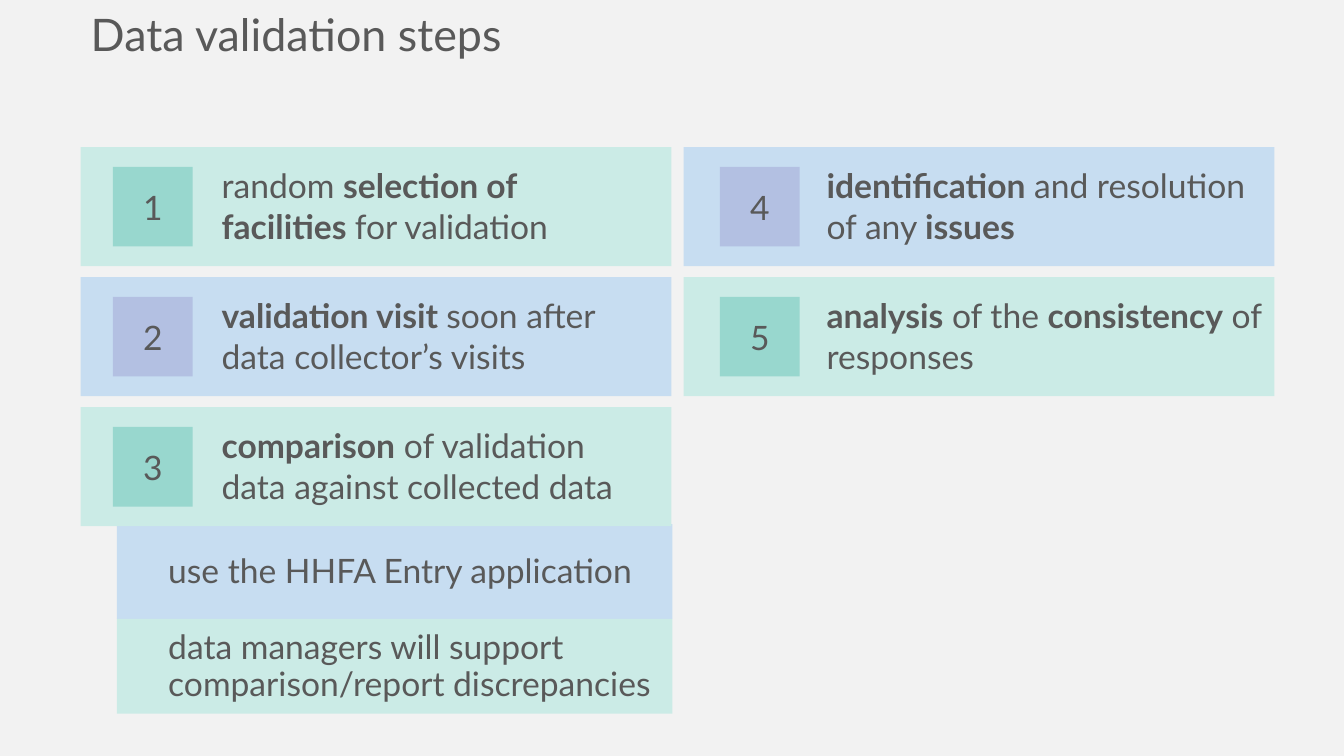
from dataclasses import dataclass

import pptx
import pptx.dml.color
import pptx.enum.shapes
import pptx.enum.text
import pptx.util
from pptx.dml.color import RGBColor
from pptx.util import Inches

BACKGROUND = RGBColor(0xF2, 0xF2, 0xF2)
TEXT = RGBColor(0x59, 0x59, 0x59)
PALE_GREEN = RGBColor(0xCB, 0xEB, 0xE6)
PALE_BLUE = RGBColor(0xC7, 0xDD, 0xF1)
GREEN = RGBColor(0x98, 0xD7, 0xCE)
LILAC = RGBColor(0xB3, 0xC0, 0xE2)
FONT = "Lato"

BAR_WIDTH, BAR_HEIGHT = 5.86, 1.18
BADGE_SIZE = 0.79
FIRST_ROW_TOP, ROW_PITCH = 1.46, 1.29
ROWS_PER_COLUMN = 3
DETAIL_LEFT, DETAIL_TOP, DETAIL_WIDTH, DETAIL_HEIGHT = 1.16, 5.2, 5.51, 0.94


@dataclass(frozen=True)
class Column:
    bar_left: float
    badge_left: float
    text_left: float


@dataclass(frozen=True)
class Step:
    runs: list[tuple[str, bool]]  # wording and whether it is bold
    text_width: float


@dataclass(frozen=True)
class Detail:
    wording: str
    fill: RGBColor
    text_top: float
    text_width: float
    text_height: float


COLUMNS = [Column(0.8, 1.12, 2.1), Column(6.78, 7.14, 8.1)]
STEPS = [
    Step([("random ", False), ("selection of facilities ", True),
          ("for validation", False)], 3.98),
    Step([("validation visit ", True),
          ("soon after data collector’s visits", False)], 4.39),
    Step([("comparison", True),
          (" of validation data against collected data", False)], 4.39),
    Step([("identification", True), (" and resolution of any ", False),
          ("issues", True)], 4.43),
    Step([("analysis", True), (" of the ", False), ("consistency", True),
          (" of responses", False)], 4.54),
]
DETAILS = [
    Detail("use the HHFA Entry application", PALE_BLUE, 5.45, 5.02, 0.47),
    Detail("data managers will support comparison/report discrepancies",
           PALE_GREEN, 6.21, 5.21, 0.83),
]


def style_font(font, size: int = 24) -> None:
    font.name = FONT
    font.size = pptx.util.Pt(size)
    font.color.rgb = TEXT


def add_block(slide, left: float, top: float, width: float, height: float,
              fill: RGBColor):
    shape = slide.shapes.add_shape(
        pptx.enum.shapes.MSO_SHAPE.RECTANGLE,
        Inches(left), Inches(top), Inches(width), Inches(height))
    shape.shadow.inherit = False
    shape.fill.solid()
    shape.fill.fore_color.rgb = fill
    shape.line.fill.background()
    return shape


def add_text(slide, left: float, top: float, width: float, height: float,
             runs: list[tuple[str, bool]], line_spacing: float = 1.0) -> None:
    box = slide.shapes.add_textbox(
        Inches(left), Inches(top), Inches(width), Inches(height))
    box.text_frame.word_wrap = True
    paragraph = box.text_frame.paragraphs[0]
    paragraph.line_spacing = line_spacing
    style_font(paragraph.font)
    for wording, bold in runs:
        run = paragraph.add_run()
        run.text = wording
        style_font(run.font)
        run.font.bold = bold


def add_step(slide, index: int, step: Step) -> None:
    column_index, row = divmod(index, ROWS_PER_COLUMN)
    column = COLUMNS[column_index]
    top = FIRST_ROW_TOP + row * ROW_PITCH
    bar_fill, badge_fill = ((PALE_GREEN, GREEN) if index % 2 == 0
                            else (PALE_BLUE, LILAC))
    add_block(slide, column.bar_left, top, BAR_WIDTH, BAR_HEIGHT, bar_fill)
    badge = add_block(slide, column.badge_left,
                      top + (BAR_HEIGHT - BADGE_SIZE) / 2,
                      BADGE_SIZE, BADGE_SIZE, badge_fill)
    badge.text_frame.text = str(index + 1)
    badge.text_frame.vertical_anchor = pptx.enum.text.MSO_ANCHOR.MIDDLE
    paragraph = badge.text_frame.paragraphs[0]
    paragraph.alignment = pptx.enum.text.PP_ALIGN.CENTER
    style_font(paragraph.font)
    add_text(slide, column.text_left, top + 0.13, step.text_width, 0.91,
             step.runs)


def format_title(title) -> None:
    title.left, title.top = Inches(0.8), Inches(0.02)
    title.width, title.height = Inches(10.96), Inches(0.64)
    title.text_frame.text = "Data validation steps"
    title.text_frame.vertical_anchor = pptx.enum.text.MSO_ANCHOR.TOP
    paragraph = title.text_frame.paragraphs[0]
    paragraph.alignment = pptx.enum.text.PP_ALIGN.LEFT
    style_font(paragraph.font, 32)


# Slide and title
presentation = pptx.Presentation()
presentation.slide_width = Inches(13.33)
presentation.slide_height = Inches(7.5)
slide = presentation.slides.add_slide(presentation.slide_layouts[5])
slide.background.fill.solid()
slide.background.fill.fore_color.rgb = BACKGROUND
format_title(slide.shapes.title)

# Details of step 3, behind its bar
for index, detail in enumerate(DETAILS):
    add_block(slide, DETAIL_LEFT, DETAIL_TOP + index * DETAIL_HEIGHT,
              DETAIL_WIDTH, DETAIL_HEIGHT, detail.fill)

# Numbered steps
for index, step in enumerate(STEPS):
    add_step(slide, index, step)

# Wording of the details
for detail in DETAILS:
    add_text(slide, 1.57, detail.text_top, detail.text_width,
             detail.text_height, [(detail.wording, False)], line_spacing=0.9)

presentation.save("out.pptx")
